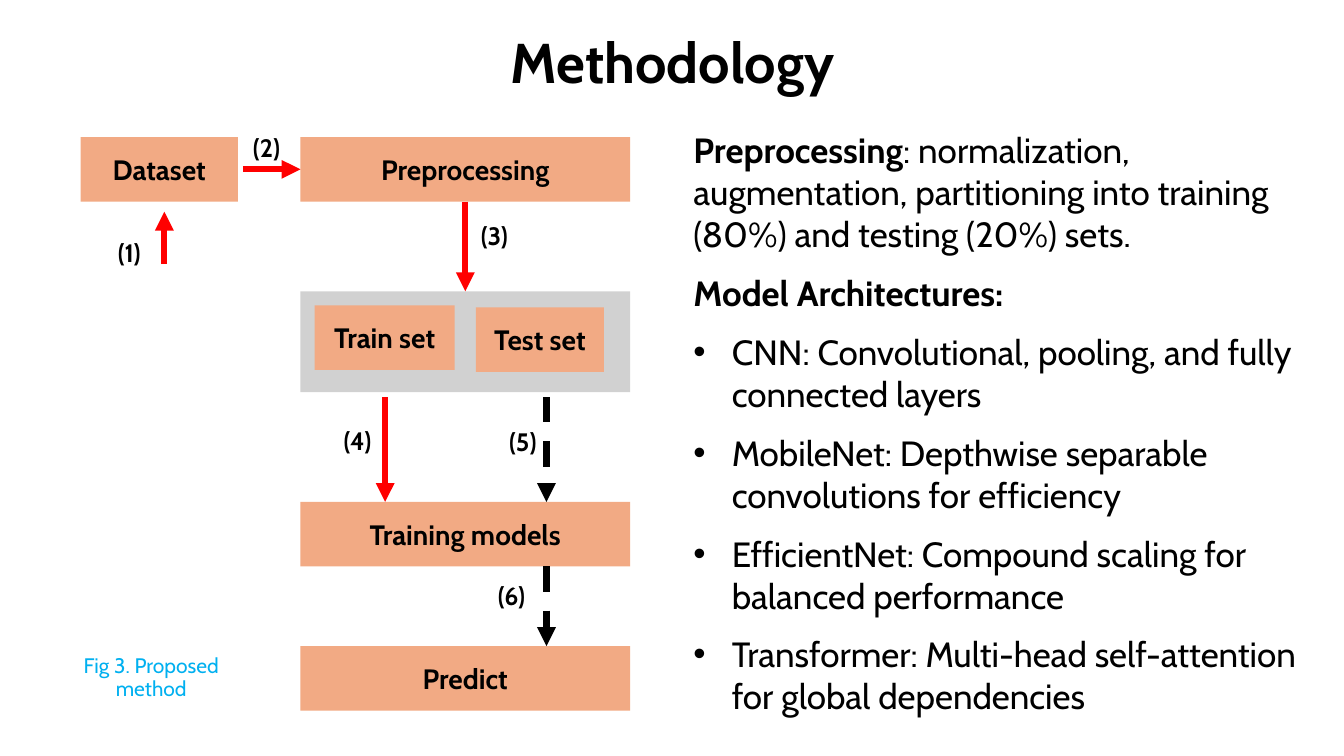
from lxml import etree
from pptx import Presentation
from pptx.dml.color import RGBColor
from pptx.enum.dml import MSO_LINE
from pptx.enum.shapes import MSO_CONNECTOR, MSO_SHAPE
from pptx.enum.text import MSO_ANCHOR, MSO_AUTO_SIZE, PP_ALIGN
from pptx.oxml.ns import qn
from pptx.util import Inches, Pt

BLACK = RGBColor(0x00, 0x00, 0x00)
RED = RGBColor(0xFF, 0x00, 0x00)
ORANGE = RGBColor(0xF2, 0xAA, 0x84)
GREY = RGBColor(0xD1, 0xD1, 0xD1)
SKY = RGBColor(0x00, 0xB0, 0xF0)
FONT = "Cabin"

RECTANGLE = MSO_SHAPE.RECTANGLE
STRAIGHT = MSO_CONNECTOR.STRAIGHT
DASH = MSO_LINE.DASH
MIDDLE = MSO_ANCHOR.MIDDLE
FIT_SHAPE = MSO_AUTO_SIZE.SHAPE_TO_FIT_TEXT
CENTER = PP_ALIGN.CENTER
TOP_SIDE, LEFT_SIDE, BOTTOM_SIDE = 0, 1, 2

STEP_HEIGHT = 0.64
COLUMN_LEFT, COLUMN_WIDTH = 2.18, 3.27

SUMMARY = [("Preprocessing", ": normalization, augmentation, partitioning into "
            "training (80%) and testing (20%) sets."),
           ("Model Architectures:", "")]
MODELS = ["CNN: Convolutional, pooling, and fully connected layers",
          "MobileNet: Depthwise separable convolutions for efficiency",
          "EfficientNet: Compound scaling for balanced performance",
          "Transformer: Multi-head self-attention for global dependencies"]


def style(paragraph, size, bold=None, color=BLACK):
    paragraph.font.name = FONT
    paragraph.font.size = Pt(size)
    paragraph.font.bold = bold
    paragraph.font.color.rgb = color


def add_text_box(slide, box):
    shape = slide.shapes.add_textbox(*map(Inches, box))
    shape.text_frame.word_wrap = True
    return shape.text_frame


def add_heading(slide, box, text, size, bold, color):
    """Centred text in the middle of its box, used for title and caption."""
    frame = add_text_box(slide, box)
    frame.vertical_anchor = MIDDLE
    paragraph = frame.paragraphs[0]
    paragraph.text = text
    paragraph.alignment = CENTER
    paragraph.line_spacing = 0.9
    style(paragraph, size, bold, color)


def add_block(slide, box, fill, text=None):
    shape = slide.shapes.add_shape(RECTANGLE, *map(Inches, box))
    shape.shadow.inherit = False
    shape.fill.solid()
    shape.fill.fore_color.rgb = fill
    shape.line.fill.background()
    if text:
        shape.text_frame.vertical_anchor = MIDDLE
        paragraph = shape.text_frame.paragraphs[0]
        paragraph.text = text
        paragraph.alignment = CENTER
        style(paragraph, 20, True)
    return shape


def add_arrow(slide, start, end, color=RED, dashed=False):
    arrow = slide.shapes.add_connector(STRAIGHT, *map(Inches, start + end))
    arrow.line.color.rgb = color
    arrow.line.width = Pt(4.5)
    if dashed:
        arrow.line.dash_style = DASH
    properties = arrow.element.spPr
    etree.SubElement(properties.find(qn("a:ln")), qn("a:tailEnd"), type="triangle")
    etree.SubElement(properties, qn("a:effectLst"))
    return arrow


def add_flowchart(slide, left, top):
    def at(x, y):
        return left + x, top + y

    def step(x, y, width, text):
        return add_block(slide, at(x, y) + (width, STEP_HEIGHT), ORANGE, text)

    # Blocks
    split = add_block(slide, at(COLUMN_LEFT, 1.53) + (COLUMN_WIDTH, 1), GREY)
    step(0, 0, 1.56, "Dataset")
    preprocessing = step(COLUMN_LEFT, 0, COLUMN_WIDTH, "Preprocessing")
    step(2.32, 1.67, 1.39, "Train set")
    step(3.92, 1.69, 1.27, "Test set")
    step(COLUMN_LEFT, 3.62, COLUMN_WIDTH, "Training models")
    step(COLUMN_LEFT, 5.05, COLUMN_WIDTH, "Predict")

    # Arrows
    middle = STEP_HEIGHT / 2
    center = COLUMN_LEFT + COLUMN_WIDTH / 2
    add_arrow(slide, at(0.83, 1.26), at(0.83, 0.74))
    into_preprocessing = add_arrow(slide, at(1.61, middle), at(COLUMN_LEFT, middle))
    into_preprocessing.end_connect(preprocessing, LEFT_SIDE)
    into_split = add_arrow(slide, at(center, STEP_HEIGHT), at(center, 1.53))
    into_split.begin_connect(preprocessing, BOTTOM_SIDE)
    into_split.end_connect(split, TOP_SIDE)
    add_arrow(slide, at(3.02, 2.58), at(3.02, 3.62))
    add_arrow(slide, at(4.62, 2.58), at(4.62, 3.62), BLACK, dashed=True)
    add_arrow(slide, at(4.62, 4.26), at(4.62, 5.05), BLACK, dashed=True)

    # Step numbers
    places = [(0.27, 0.95), (1.61, -0.1), (3.87, 0.78),
              (2.51, 2.81), (4.15, 2.82), (4.04, 4.35)]
    for number, place in enumerate(places, start=1):
        frame = add_text_box(slide, at(*place) + (0.51, 0.4))
        frame.word_wrap = False
        frame.auto_size = FIT_SHAPE
        frame.paragraphs[0].text = f"({number})"
        style(frame.paragraphs[0], 18, True)


def add_bullet(paragraph):
    properties = paragraph._p.get_or_add_pPr()
    indent = Inches(0.38)
    properties.set("marL", str(indent))
    properties.set("indent", str(-indent))
    etree.SubElement(properties, qn("a:buFont"), typeface="Arial")
    etree.SubElement(properties, qn("a:buChar"), char="•")


def add_details(slide, box):
    frame = add_text_box(slide, box)
    frame.auto_size = FIT_SHAPE
    entries = SUMMARY + [("", model) for model in MODELS]
    for index, (lead, body) in enumerate(entries):
        paragraph = frame.add_paragraph() if index else frame.paragraphs[0]
        paragraph.space_before = paragraph.space_after = Pt(6)
        if not lead:
            add_bullet(paragraph)
        style(paragraph, 25)
        for text, bold in ((lead, True), (body, False)):
            if text:
                run = paragraph.add_run()
                run.text = text
                run.font.bold = bold


def main():
    presentation = Presentation()
    presentation.slide_width = Inches(13.33)
    presentation.slide_height = Inches(7.5)
    slide = presentation.slides.add_slide(presentation.slide_layouts[6])

    add_heading(slide, (0.92, 0.33, 11.5, 0.64), "Methodology", 40, True, BLACK)
    add_flowchart(slide, 0.8, 1.36)
    add_heading(slide, (0.46, 6.41, 2.08, 0.64), "Fig 3. Proposed method",
                15, False, SKY)
    add_details(slide, (6.78, 1.23, 6.3, 5.99))
    presentation.save("out.pptx")


if __name__ == "__main__":
    main()
